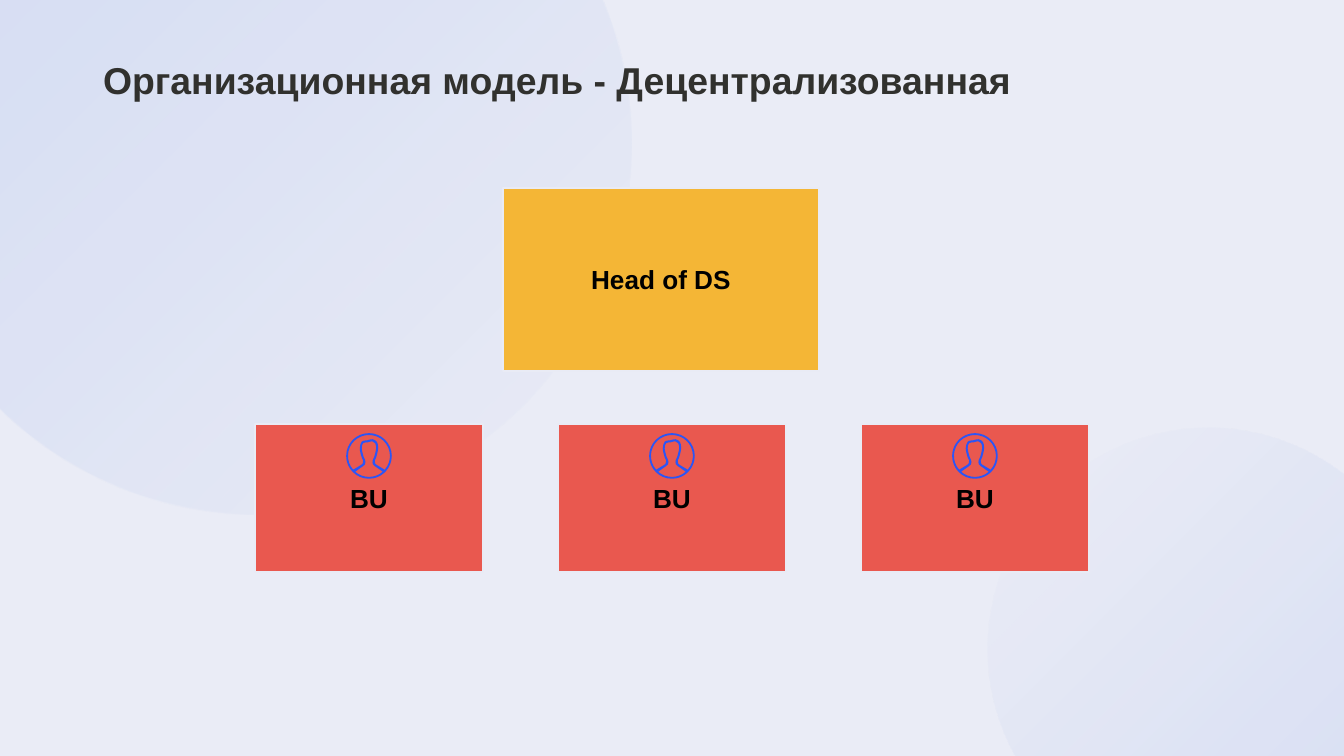
from dataclasses import dataclass
from math import cos, radians, sin, tan

from lxml.etree import SubElement
from pptx import Presentation
from pptx.dml.color import RGBColor as RGB
from pptx.enum.shapes import MSO_SHAPE as SHAPE
from pptx.enum.text import MSO_ANCHOR as ANCHOR, PP_ALIGN as ALIGN
from pptx.oxml.ns import qn
from pptx.util import Pt

PX = 914400 / 134.4  # EMU per px
COLORS = {
    "back": "EAECF6", "glow": "91ADE9", "title": "31312E", "text": "000000",
    "head": "F4B636", "unit": "E9584F", "border": "E9EBF5", "icon": "2B55F6",
}


@dataclass
class Box:
    x: int
    y: int
    w: int
    h: int
    text: str
    color: str


@dataclass
class Glow:
    x: int
    y: int
    size: int
    angle: int
    stops: list[tuple[int, int]]  # position and opacity, percent


def emu(*px: int) -> list[int]:
    return [round(v * PX) for v in px]


def rgb(name: str) -> RGB:
    return RGB.from_string(COLORS[name])


def write(sp, text: str, *, size: int, color: str = "text", align=ALIGN.CENTER,
          anchor=ANCHOR.MIDDLE, inset: int = 13) -> None:
    tf = sp.text_frame
    tf.word_wrap = True
    tf.vertical_anchor = anchor
    tf.margin_left = tf.margin_top = tf.margin_right = tf.margin_bottom = emu(inset)[0]
    p = tf.paragraphs[0]
    p.alignment = align
    r = p.add_run()
    r.text = text
    r.font.name, r.font.size, r.font.bold = "Arial", Pt(size), True
    r.font.color.rgb = rgb(color)


def draw_glow(s, glow: Glow) -> None:
    sp = s.shapes.add_shape(SHAPE.OVAL, *emu(glow.x, glow.y, glow.size, glow.size))
    sp.shadow.inherit = False
    sp.line.fill.background()
    sp.fill.gradient()
    grad = sp.fill._xPr.find(qn("a:gradFill"))
    stops = grad.find(qn("a:gsLst"))
    for old in list(stops):
        stops.remove(old)
    for pos, opacity in glow.stops:
        gs = SubElement(stops, qn("a:gs"), pos=str(pos * 1000))
        clr = SubElement(gs, qn("a:srgbClr"), val=COLORS["glow"])
        SubElement(clr, qn("a:alpha"), val=str(opacity * 1000))
    grad.find(qn("a:lin")).set("ang", str(glow.angle * 60000))


def draw_box(s, box: Box) -> None:
    sp = s.shapes.add_shape(SHAPE.RECTANGLE, *emu(box.x, box.y, box.w, box.h))
    sp.shadow.inherit = False
    sp.fill.solid()
    sp.fill.fore_color.rgb = rgb(box.color)
    sp.line.color.rgb = rgb("border")
    sp.line.width = Pt(0.75)
    write(sp, box.text, size=14)


# Person icon: contours in tenths of a px around its centre
Point = tuple[float, float]
Curve = tuple[Point, Point, Point]  # two handles and the end
RADIUS = 228
INNER = 210
SHOULDER_OUT = [(158, 138), (95, 100), (62, 76), (58, 45), (72, 15), (92, -75)]
SHOULDER_IN = [(138, 158), (85, 120), (40, 85), (38, 42), (53, 8), (72, -75)]
HAIR_OUT = [(80, -140), (35, -167), (-20, -155), (-70, -145)]
HAIR_IN = [(62, -127), (32, -147), (-15, -135), (-58, -128)]


def arc(radius: int, start: int, end: int, parts: int) -> list[Curve]:
    step = radians(end - start) / parts
    k = 4 / 3 * tan(step / 4)
    curves = []
    for i in range(parts):
        a = radians(start) + i * step
        b = a + step
        curves.append((
            (radius * (cos(a) - k * sin(a)), radius * (sin(a) + k * cos(a))),
            (radius * (cos(b) + k * sin(b)), radius * (sin(b) - k * cos(b))),
            (radius * cos(b), radius * sin(b))))
    return curves


def profile(shoulder: list[Point], hair: list[Point]) -> list[Curve]:
    """Smooth curves up one shoulder, over the hair and down the other."""
    pts = shoulder + hair + [(-x, y) for x, y in reversed(shoulder)]
    ends = [pts[0], *pts, pts[-1]]
    return [((b[0] + (c[0] - a[0]) / 6, b[1] + (c[1] - a[1]) / 6),
             (c[0] - (d[0] - b[0]) / 6, c[1] - (d[1] - b[1]) / 6), c)
            for a, b, c, d in zip(ends, ends[1:], ends[2:], ends[3:])]


CONTOURS = [
    ((RADIUS, 0), arc(RADIUS, 0, 360, 4)),
    (SHOULDER_OUT[0], profile(SHOULDER_OUT, HAIR_OUT) + arc(INNER, 139, 401, 3)),
    (SHOULDER_IN[0], profile(SHOULDER_IN, HAIR_IN) + arc(INNER, 131, 49, 2)),
]


def draw_person(s, x: int, y: int) -> None:
    fb = s.shapes.build_freeform(*CONTOURS[0][0], scale=PX / 10)
    for i, (start, curves) in enumerate(CONTOURS):
        if i:
            fb.move_to(*start)
        fb.add_line_segments([end for _, _, end in curves], close=True)
    sp = fb.convert_to_shape(*emu(x, y))
    sp.shadow.inherit = False
    sp.fill.solid()
    sp.fill.fore_color.rgb = rgb("icon")
    sp.line.fill.background()

    # Bend each straight segment into its curve
    lines = list(sp._element.iter(qn("a:lnTo")))
    for line, curve in zip(lines, (c for _, curves in CONTOURS for c in curves)):
        bend = line.makeelement(qn("a:cubicBezTo"), {})
        for px, py in curve:
            SubElement(bend, qn("a:pt"), x=str(round(px + RADIUS)), y=str(round(py + RADIUS)))
        line.getparent().replace(line, bend)


def main() -> None:
    prs = Presentation()
    prs.slide_width, prs.slide_height = emu(1344, 756)
    s = prs.slides.add_slide(prs.slide_layouts[6])

    # Background
    s.background.fill.solid()
    s.background.fill.fore_color.rgb = rgb("back")
    draw_glow(s, Glow(988, 428, 441, 45, [(0, 0), (10, 0), (90, 20), (100, 20)]))
    draw_glow(s, Glow(-111, -227, 742, 225, [(0, 0), (75, 20), (100, 20)]))

    # Title
    title = s.shapes.add_textbox(*emu(103, 56, 996, 46))
    write(title, "Организационная модель - Децентрализованная", size=20,
          color="title", align=ALIGN.LEFT, anchor=ANCHOR.BOTTOM, inset=0)

    # Head and business units
    draw_box(s, Box(503, 188, 316, 183, "Head of DS", "head"))
    units = [Box(255 + 303 * i, 424, 228, 148, "BU", "unit") for i in range(3)]
    for unit in units:
        draw_box(s, unit)
    for unit in units:
        draw_person(s, unit.x + unit.w // 2, unit.y + 32)

    prs.save("out.pptx")


if __name__ == "__main__":
    main()
